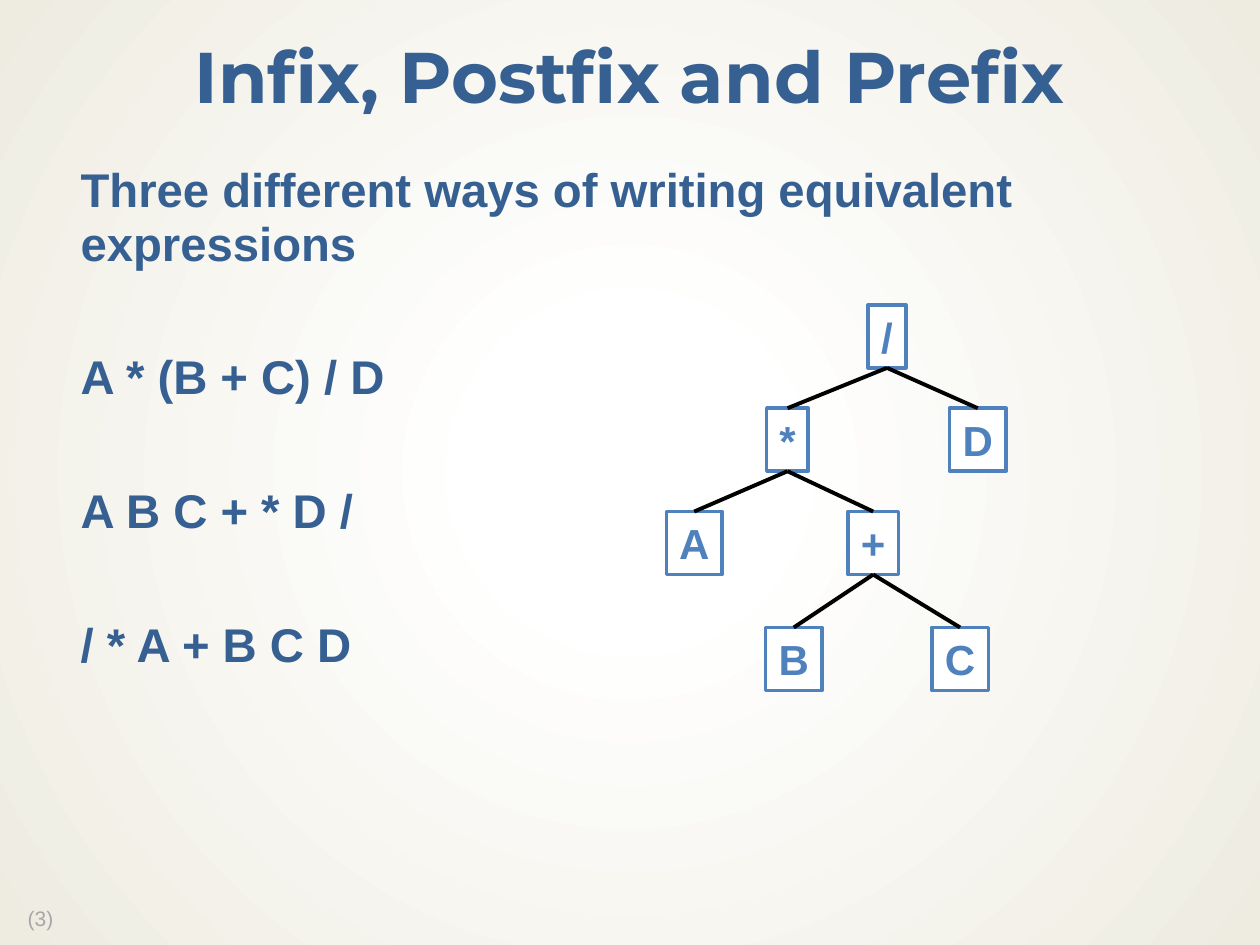
from dataclasses import dataclass

from lxml.etree import SubElement
from pptx import Presentation
from pptx.dml.color import RGBColor
from pptx.enum.shapes import MSO_CONNECTOR, MSO_SHAPE
from pptx.enum.text import MSO_ANCHOR, PP_ALIGN
from pptx.oxml.ns import qn
from pptx.util import Inches, Pt


@dataclass(frozen=True)
class Theme:
    heading_font: str = "Montserrat"
    body_font: str = "Arial"
    ink: str = "376092"
    node: str = "4F81BD"
    muted: str = "A6A6A6"
    edge: str = "000000"
    paper: str = "FFFFFF"
    paper_rim: str = "EEECE1"
    title_size: float = 41
    body_size: float = 27
    node_size: float = 24
    number_size: float = 12


class SlideBuilder:
    COLUMNS, ROWS = 100, 75

    def __init__(self, deck, theme):
        self.theme = theme
        self.column = deck.slide_width / self.COLUMNS
        self.row = deck.slide_height / self.ROWS
        self.slide = deck.slides.add_slide(deck.slide_layouts[6])

    def place(self, left, top, width, height):
        return (round(left * self.column), round(top * self.row),
                round(width * self.column), round(height * self.row))

    def background(self):
        fill = self.slide.background.fill
        fill.gradient()
        stops = ((0.18, self.theme.paper), (1, self.theme.paper_rim))
        for stop, (position, color) in zip(fill.gradient_stops, stops):
            stop.position = position
            stop.color.rgb = RGBColor.from_string(color)
        gradient = next(self.slide.element.iter(qn("a:gradFill")))
        gradient.remove(gradient.find(qn("a:lin")))
        radial = SubElement(gradient, qn("a:path"), {"path": "circle"})
        SubElement(radial, qn("a:fillToRect"), dict.fromkeys("ltrb", "50000"))

    def add_lines(self, frame, lines, size, color, font, bold=True,
                  align=PP_ALIGN.LEFT, spacing=0.9, gap=0):
        for index, line in enumerate(lines):
            paragraph = frame.add_paragraph() if index else frame.paragraphs[0]
            paragraph.alignment = align
            paragraph.line_spacing = spacing
            paragraph.space_before = Pt(gap if index else 0)
            run = paragraph.add_run()
            run.text = line
            run.font.size = Pt(size)
            run.font.name = font
            run.font.bold = bold
            run.font.color.rgb = RGBColor.from_string(color)

    def text(self, area, lines, size, color, font, inset, wrap=True,
             anchor=MSO_ANCHOR.TOP, **style):
        frame = self.slide.shapes.add_textbox(*self.place(*area)).text_frame
        frame.word_wrap = wrap
        frame.vertical_anchor = anchor
        frame.margin_left, frame.margin_right = (Inches(side) for side in inset)
        frame.margin_top = frame.margin_bottom = Inches(0.06)
        self.add_lines(frame, lines, size, color, font, **style)

    def node(self, symbol, center, top, width):
        area = self.place(center - width / 2, top, width, 5)
        box = self.slide.shapes.add_shape(MSO_SHAPE.RECTANGLE, *area)
        box.shadow.inherit = False
        box.fill.solid()
        box.fill.fore_color.rgb = RGBColor.from_string(self.theme.paper)
        box.line.color.rgb = RGBColor.from_string(self.theme.node)
        box.line.width = Pt(2)
        box.text_frame.word_wrap = False
        self.add_lines(box.text_frame, [symbol], self.theme.node_size,
                       self.theme.node, self.theme.body_font,
                       align=PP_ALIGN.CENTER, spacing=1.0)
        return box

    def edge(self, parent, child):
        branch = self.slide.shapes.add_connector(MSO_CONNECTOR.STRAIGHT, 0, 0, 0, 0)
        branch.begin_connect(parent, 2)
        branch.end_connect(child, 0)
        branch.line.color.rgb = RGBColor.from_string(self.theme.edge)
        branch.line.width = Pt(2.25)
        SubElement(branch.element.spPr, qn("a:effectLst"))


NODES = {
    "/": (70.4, 24.2, 3),
    "*": (62.5, 32.4, 3.3),
    "D": (77.6, 32.4, 4.5),
    "A": (55.1, 40.6, 4.4),
    "+": (69.3, 40.6, 4),
    "B": (63, 49.8, 4.5),
    "C": (76.2, 49.8, 4.5),
}
CHILDREN = {"/": "*D", "*": "A+", "+": "BC"}
EXPRESSIONS = [
    "Three different ways of writing equivalent expressions",
    "A * (B + C) / D",
    "A B C + * D /",
    "/ * A + B C D",
]


def main():
    deck = Presentation()
    deck.slide_width, deck.slide_height = Inches(10), Inches(7.5)
    theme = Theme()
    builder = SlideBuilder(deck, theme)
    builder.background()
    builder.text((0.7, 71.5, 5.6, 2.8), ["(3)"], theme.number_size, theme.muted,
                 theme.body_font, (0.15, 0.1), wrap=False, bold=False)
    builder.text((0, 1.7, 100, 9.4), ["Infix, Postfix and Prefix"],
                 theme.title_size, theme.ink, theme.heading_font, (0.13, 0.13),
                 anchor=MSO_ANCHOR.MIDDLE, align=PP_ALIGN.CENTER)
    builder.text((3.8, 12.5, 92.5, 56.5), EXPRESSIONS, theme.body_size, theme.ink,
                 theme.body_font, (0.26, 0.12), spacing=0.94, gap=46)
    tree = {symbol: builder.node(symbol, *spot) for symbol, spot in NODES.items()}
    for parent, children in CHILDREN.items():
        for child in children:
            builder.edge(tree[parent], tree[child])
    deck.save("out.pptx")


if __name__ == "__main__":
    main()
